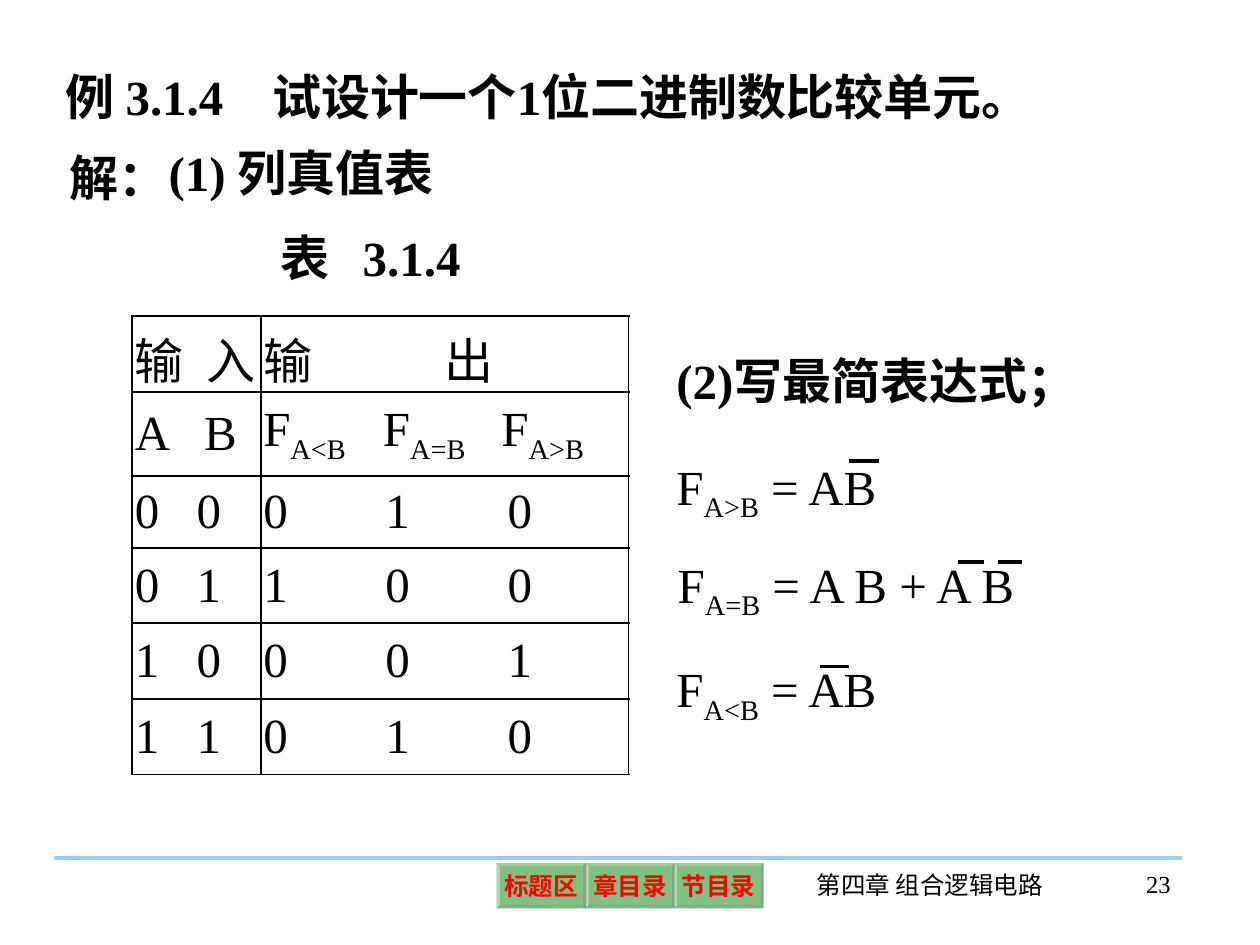
import pptx
import pptx.util
import pptx.dml.color
import pptx.enum.shapes
import pptx.enum.text
import pptx.oxml.ns
from lxml import etree

Inches = pptx.util.Inches
Pt = pptx.util.Pt
RGBColor = pptx.dml.color.RGBColor
ALIGN = pptx.enum.text.PP_ALIGN
ANCHOR = pptx.enum.text.MSO_ANCHOR
qn = pptx.oxml.ns.qn

BLACK = RGBColor(0x00, 0x00, 0x00)
RED = RGBColor(0xFF, 0x00, 0x00)
GREEN = RGBColor(0x00, 0x80, 0x00)
SKY = RGBColor(0x99, 0xCC, 0xFF)
FONT = "Times New Roman"

COLUMNS = [1.02, 2.92]
ROWS = [0.6, 0.67, 0.54, 0.6, 0.6, 0.6]
# Each cell: text, then the tab stops that spread it over the cell
HEADINGS = [
    [("输\t入", [0.57]), ("输\t出", [1.44])],
    [("A\tB", [0.55]), ("F|A<B|\tF|A=B|\tF|A>B|", [0.95, 1.89])],
]
TRUTH = [("00", "010"), ("01", "100"), ("10", "001"), ("11", "010")]
INPUT_STEP, OUTPUT_STEP = 0.49, 0.97

# Top of the formula, left, text, spans of the negation bars
FORMULAS = [
    (3.57, 5.27, "F|A>B| = AB", 3.66, [(6.74, 6.98)]),
    (4.35, 5.28, "F|A=B| = A B + A B", 4.46, [(7.6, 7.81), (7.92, 8.11)]),
    (5.18, 5.27, "F|A<B| = AB", 5.29, [(6.51, 6.74)]),
]


def write(frame, text, size=28, bold=False, color=BLACK, align=ALIGN.LEFT, tabs=()):
    """Fill a text frame; parts between bars are subscripts."""
    paragraph = frame.paragraphs[0]
    paragraph.alignment = align
    for i, part in enumerate(text.split("|")):
        if not part:
            continue
        run = paragraph.add_run()
        run.text = part
        run.font.name, run.font.size = FONT, Pt(size)
        run.font.bold = bold
        run.font.color.rgb = color
        if i % 2:
            run.font._element.set("baseline", "-25000")
    if tabs:
        stops = etree.SubElement(paragraph._p.get_or_add_pPr(), qn("a:tabLst"))
        for stop in tabs:
            etree.SubElement(stops, qn("a:tab"), pos=str(Inches(stop)), algn="l")


def add_text(slide, left, top, width, height, text, **style):
    box = slide.shapes.add_textbox(*map(Inches, (left, top, width, height)))
    box.text_frame.word_wrap = True
    write(box.text_frame, text, **style)


def add_title(slide, left, top, width, height, text, **style):
    title = slide.shapes.title
    title.left, title.top, title.width, title.height = map(
        Inches, (left, top, width, height))
    frame = title.text_frame
    frame.vertical_anchor = ANCHOR.TOP
    frame.auto_size = pptx.enum.text.MSO_AUTO_SIZE.NONE
    write(frame, text, **style)


def add_rule(slide, start, end, y, color=BLACK):
    rule = slide.shapes.add_connector(
        pptx.enum.shapes.MSO_CONNECTOR.STRAIGHT, *map(Inches, (start, y, end, y)))
    rule.line.color.rgb = color
    rule.line.width = Pt(2.25)
    etree.SubElement(rule._element.spPr, qn("a:effectLst"))


def add_button(slide, left, label):
    button = slide.shapes.add_shape(
        pptx.enum.shapes.MSO_SHAPE.BEVEL, *map(Inches, (left, 6.85, 0.71, 0.36)))
    button.adjustments[0] = 0.07
    button.shadow.inherit = False
    button.line.fill.background()
    button.fill.solid()
    button.fill.fore_color.rgb = GREEN
    tint = button._element.spPr.find(".//" + qn("a:srgbClr"))
    etree.SubElement(tint, qn("a:alpha"), val="49000")
    frame = button.text_frame
    frame.word_wrap = False
    frame.vertical_anchor = ANCHOR.MIDDLE
    frame.margin_left = frame.margin_right = Inches(0.04)
    frame.margin_top = frame.margin_bottom = Inches(0.04)
    write(frame, label, size=14, bold=True, color=RED, align=ALIGN.CENTER)


def border(cell):
    properties = cell._tc.get_or_add_tcPr()
    for i, side in enumerate(("a:lnL", "a:lnR", "a:lnT", "a:lnB")):
        edge = etree.Element(qn(side), w=str(Pt(1.08)))
        fill = etree.SubElement(edge, qn("a:solidFill"))
        etree.SubElement(fill, qn("a:srgbClr"), val=str(BLACK))
        properties.insert(i, edge)


def spread(digits, step):
    return "\t".join(digits), [step * i for i in range(1, len(digits))]


def add_truth_table(slide):
    rows = HEADINGS + [
        [spread(inputs, INPUT_STEP), spread(outputs, OUTPUT_STEP)]
        for inputs, outputs in TRUTH]
    table = slide.shapes.add_table(
        len(ROWS), len(COLUMNS),
        *map(Inches, (1.05, 2.51, sum(COLUMNS), sum(ROWS)))).table
    table.first_row = table.horz_banding = False
    for column, width in zip(table.columns, COLUMNS):
        column.width = Inches(width)
    for r, (height, entries) in enumerate(zip(ROWS, rows)):
        table.rows[r].height = Inches(height)
        for c, (text, tabs) in enumerate(entries):
            cell = table.cell(r, c)
            cell.margin_left = cell.margin_right = Inches(0.02)
            cell.vertical_anchor = ANCHOR.MIDDLE
            cell.fill.background()
            border(cell)
            write(cell.text_frame, text, tabs=tabs)


def main():
    deck = pptx.Presentation()
    deck.slide_width, deck.slide_height = Inches(10), Inches(7.5)
    slide = deck.slides.add_slide(deck.slide_layouts[5])

    add_title(slide, 0.42, 0.48, 8.33, 0.57,
              "例 3.1.4\t试设计一个1位二进制数比较单元。", bold=True, tabs=[1.64])
    add_text(slide, 0.45, 1.12, 1.29, 0.57, "解：", bold=True)
    add_text(slide, 1.24, 1.08, 2.4, 0.57, "(1) 列真值表", bold=True)
    add_text(slide, 2.13, 1.76, 2.09, 0.57, "表\t3.1.4", bold=True, tabs=[0.65])
    add_truth_table(slide)

    add_text(slide, 5.27, 2.73, 3.46, 0.57, "(2)写最简表达式；", bold=True)
    for top, left, formula, bar_y, bars in FORMULAS:
        add_text(slide, left, top, 3.9, 0.63, formula)
        for start, end in bars:
            add_rule(slide, start, end, bar_y)

    add_rule(slide, 0.43, 9.38, 6.81, color=SKY)
    for i, label in enumerate(("标题区", "章目录", "节目录")):
        add_button(slide, 3.94 + 0.705 * i, label)
    add_text(slide, 6.24, 6.86, 2.28, 0.5, "第四章 组合逻辑电路",
             size=14, align=ALIGN.CENTER)
    add_text(slide, 8.53, 6.85, 0.86, 0.5, "23", size=14, align=ALIGN.RIGHT)
    deck.save("out.pptx")


if __name__ == "__main__":
    main()
